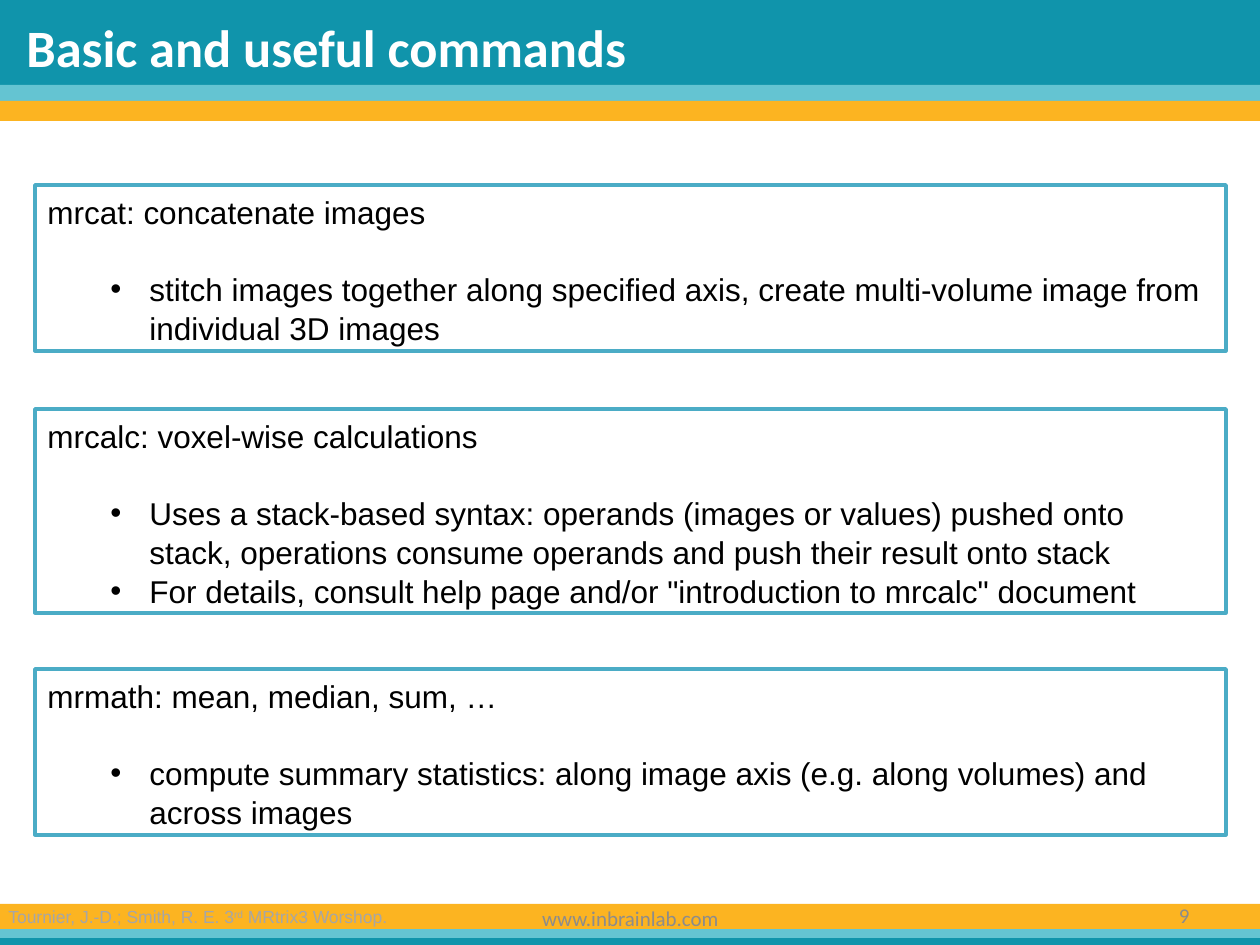
from dataclasses import dataclass

from lxml import etree
from pptx import Presentation
from pptx import util as u
from pptx.dml.color import RGBColor
from pptx.enum import shapes, text
from pptx.oxml.ns import qn

EMU_PER_PX = 914400 / 126
TEAL, AQUA, AMBER = "1094AB", "64C4D2", "FCB421"
LINE_SPACING = 1.04


@dataclass
class Band:
    top: int
    height: int
    color: str


@dataclass
class Command:
    top: int
    height: int
    heading: str
    details: list[str]


@dataclass
class Label:
    left: int
    top: int
    width: int
    height: int
    runs: list[str]
    size: int
    color: str
    face: str = "Calibri"
    bold: bool = False
    align: text.PP_ALIGN = text.PP_ALIGN.LEFT
    anchor: text.MSO_ANCHOR = text.MSO_ANCHOR.MIDDLE
    spacing: float = 1.0


BANDS = [
    Band(938, 7, TEAL),
    Band(929, 9, AQUA),
    Band(904, 25, AMBER),
    Band(0, 85, TEAL),
    Band(85, 16, AQUA),
    Band(101, 20, AMBER),
]

COMMANDS = [
    Command(185, 166, "mrcat: concatenate images", [
        "stitch images together along specified axis, create multi-volume "
        "image from individual 3D images",
    ]),
    Command(409, 204, "mrcalc: voxel-wise calculations", [
        "Uses a stack-based syntax: operands (images or values) pushed onto "
        "stack, operations consume operands and push their result onto stack",
        'For details, consult help page and/or "introduction to mrcalc" document',
    ]),
    Command(669, 166, "mrmath: mean, median, sum, …", [
        "compute summary statistics: along image axis (e.g. along volumes) "
        "and across images",
    ]),
]

LABELS = [
    Label(431, 893, 399, 50, ["www.inbrainlab.com"], 12, "8C8C8C",
          align=text.PP_ALIGN.CENTER),
    Label(908, 890, 294, 50, ["9"], 12, "8C8C8C", align=text.PP_ALIGN.RIGHT),
    Label(14, 16, 1042, 86, ["Basic and useful commands"], 30, "FFFFFF",
          bold=True, anchor=text.MSO_ANCHOR.TOP, spacing=0.9),
    Label(-4, 900, 634, 34,
          ["Tournier, J.-D.; Smith, R. E. 3", "rd", " MRtrix3 Worshop."],
          10, "A6A6A6", face="Arial", anchor=text.MSO_ANCHOR.TOP),
]


def px(length: int) -> int:
    return round(length * EMU_PER_PX)


def rgb(color: str) -> RGBColor:
    return RGBColor.from_string(color)


def set_font(paragraph, face: str, size: int, color: str, bold: bool = False) -> None:
    font = paragraph.font
    font.name, font.size, font.bold = face, u.Pt(size), bold
    font.color.rgb = rgb(color)


def add_rectangle(slide, left: int, top: int, width: int, height: int, color: str):
    rectangle = slide.shapes.add_shape(
        shapes.MSO_SHAPE.RECTANGLE, px(left), px(top), px(width), px(height))
    rectangle.shadow.inherit = False
    rectangle.fill.solid()
    rectangle.fill.fore_color.rgb = rgb(color)
    rectangle.line.fill.background()
    return rectangle


def add_bullet(paragraph) -> None:
    properties = paragraph._p.get_or_add_pPr()
    properties.set("marL", str(px(102)))
    properties.set("indent", str(px(-39)))
    etree.SubElement(properties, qn("a:buFont"), typeface="Arial")
    etree.SubElement(properties, qn("a:buChar"), char="•")


def draw_command(slide, command: Command) -> None:
    card = add_rectangle(slide, 35, command.top, 1191, command.height, "FFFFFF")
    card.line.color.rgb = rgb("4BACC6")
    card.line.width = u.Pt(2)
    frame = card.text_frame
    frame.word_wrap = True
    frame.vertical_anchor = text.MSO_ANCHOR.TOP
    for position, line in enumerate([command.heading, *command.details]):
        paragraph = frame.add_paragraph() if position else frame.paragraphs[0]
        paragraph.text = line
        paragraph.alignment = text.PP_ALIGN.LEFT
        if position:
            paragraph.level = 1
            add_bullet(paragraph)
        if position == 1:
            paragraph.space_before = u.Pt(21.5)
        paragraph.line_spacing = LINE_SPACING
        set_font(paragraph, "Arial", 18, "000000")


def draw_label(slide, label: Label) -> None:
    box = slide.shapes.add_textbox(
        px(label.left), px(label.top), px(label.width), px(label.height))
    frame = box.text_frame
    frame.word_wrap = True
    frame.vertical_anchor = label.anchor
    paragraph = frame.paragraphs[0]
    paragraph.alignment = label.align
    paragraph.line_spacing = label.spacing
    for position, words in enumerate(label.runs):
        run = paragraph.add_run()
        run.text = words
        if position == 1:
            run._r.get_or_add_rPr().set("baseline", "30000")
    set_font(paragraph, label.face, label.size, label.color, label.bold)


def main() -> None:
    deck = Presentation()
    deck.slide_width, deck.slide_height = px(1260), px(945)
    slide = deck.slides.add_slide(deck.slide_layouts[6])
    for band in BANDS:
        add_rectangle(slide, 0, band.top, 1260, band.height, band.color)
    for command in COMMANDS:
        draw_command(slide, command)
    for label in LABELS:
        draw_label(slide, label)
    deck.save("out.pptx")


if __name__ == "__main__":
    main()
